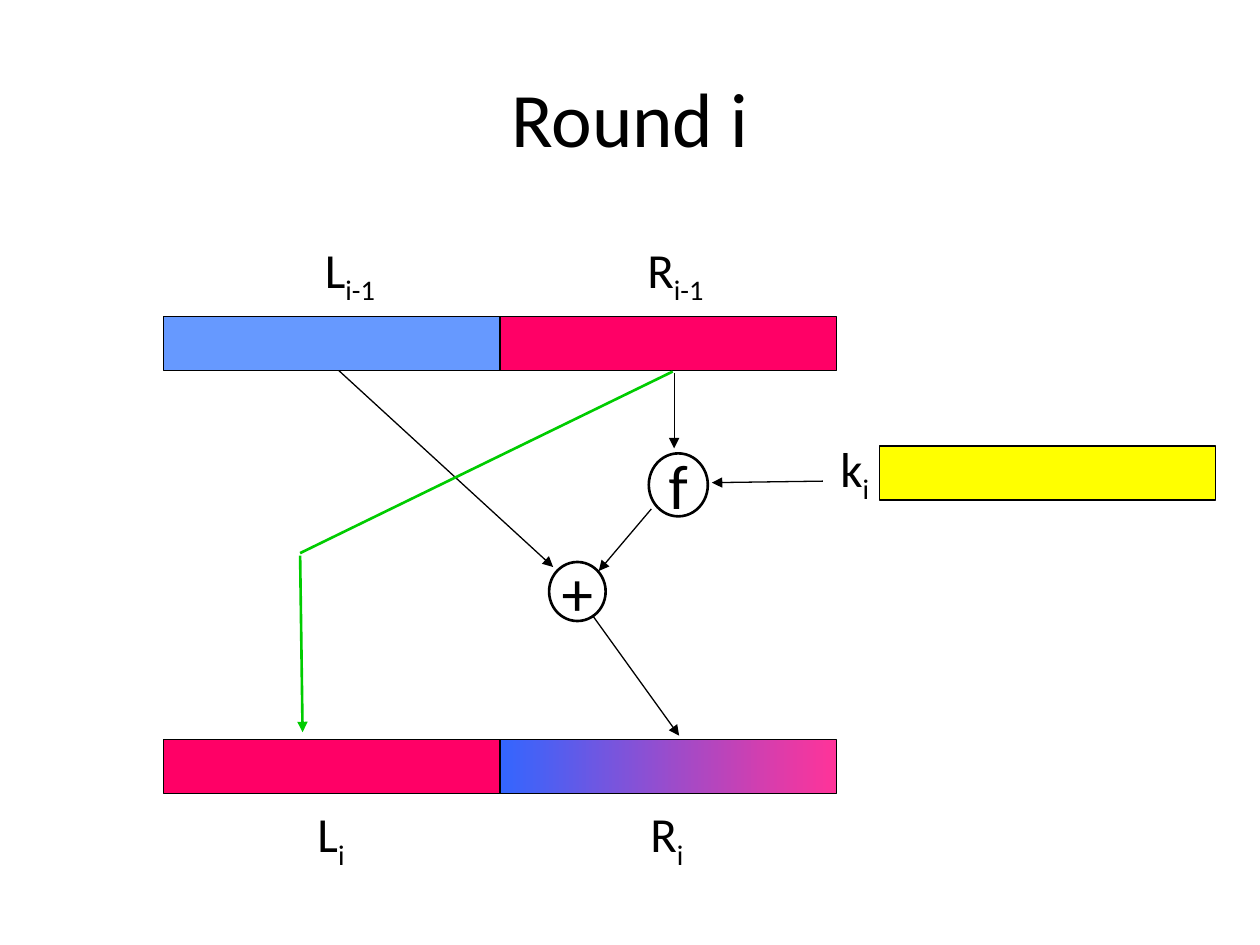
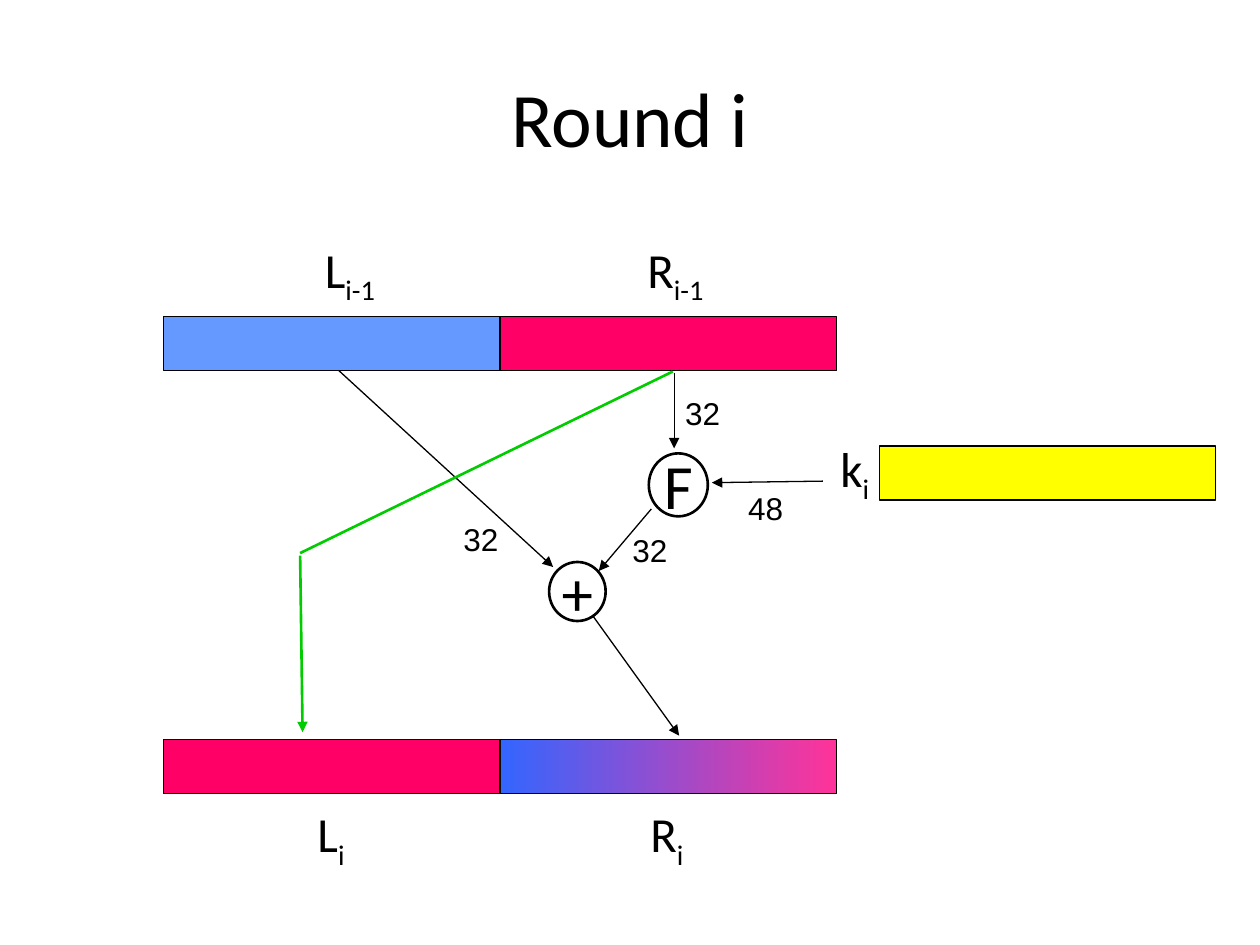
"""Build two slides that show one round of a Feistel cipher."""
from pptx import Presentation
from pptx.dml.color import RGBColor
from pptx.enum.shapes import MSO_CONNECTOR as CONN, MSO_SHAPE as SHAPE
from pptx.enum.text import MSO_ANCHOR as ANCHOR, PP_ALIGN as ALIGN
from pptx.oxml.ns import qn
from pptx.util import Cm, Pt
from lxml.etree import SubElement

BLACK, GREEN, BLUE, RED, YELLOW = "000000", "00CC00", "6699FF", "FF0066", "FFFF00"
MIX = ("3366FF", "FF3399")
BAR_W, BAR_H = 6.78, 1.09
LEFT, TOP, BOTTOM = 3.3, 6.38, 14.91
RIGHT = LEFT + BAR_W
BIT_COUNTS = [("32", 13.56, 7.82), ("48", 14.83, 9.73),
              ("32", 12.5, 10.59), ("32", 9.09, 10.36)]


def rgb(color):
    return RGBColor.from_string(color)


def style(r, size, font="Calibri"):
    r.font.name = font
    r.font.size = Pt(size)
    r.font.color.rgb = rgb(BLACK)


def add_title(s, text):
    sp = s.shapes.title
    sp.left, sp.top, sp.width, sp.height = Cm(1.27), Cm(0.76), Cm(22.86), Cm(3.18)
    tf = sp.text_frame
    tf.text = text
    tf.vertical_anchor = ANCHOR.MIDDLE
    p = tf.paragraphs[0]
    p.alignment = ALIGN.CENTER
    style(p.runs[0], 44)


def add_outlined(s, kind, x, y, w, h, line_width):
    sp = s.shapes.add_shape(kind, Cm(x), Cm(y), Cm(w), Cm(h))
    sp.shadow.inherit = False
    sp.line.color.rgb = rgb(BLACK)
    sp.line.width = Pt(line_width)
    return sp


def add_bar(s, x, y, *colors):
    fill = add_outlined(s, SHAPE.RECTANGLE, x, y, BAR_W, BAR_H, 0.75).fill
    if len(colors) == 1:
        fill.solid()
        fill.fore_color.rgb = rgb(colors[0])
        return
    fill.gradient()
    fill.gradient_angle = 0
    for stop, color in zip(fill.gradient_stops, colors):
        stop.color.rgb = rgb(color)


def add_text(s, text, x, y, w, h, size, font="Calibri", wrap=False):
    tf = s.shapes.add_textbox(Cm(x), Cm(y), Cm(w), Cm(h)).text_frame
    tf.text = text
    tf.word_wrap = wrap
    for r in tf.paragraphs[0].runs:
        style(r, size, font)
    return tf


def add_label(s, parts, x, y, w, h, tab=None, inset=0.25):
    """Write parts in turn as plain text and subscript."""
    tf = add_text(s, "", x, y, w, h, 28, wrap=tab is not None)
    tf.margin_left = Cm(inset)
    p = tf.paragraphs[0]
    if tab:
        tabs = SubElement(p._p.get_or_add_pPr(), qn("a:tabLst"))
        SubElement(tabs, qn("a:tab"), pos=str(Cm(tab)), algn="l")
    for i, part in enumerate(parts):
        r = p.add_run()
        r.text = part
        style(r, 28)
        if i % 2:
            r._r.get_or_add_rPr().set("baseline", "-25000")


def add_node(s, symbol, x, y, w, h):
    add_outlined(s, SHAPE.OVAL, x, y, w, h, 1.5).fill.background()
    text_h = 1.78
    tf = add_text(s, symbol, x, y + (h - text_h) / 2, w, text_h, 36)
    tf.paragraphs[0].alignment = ALIGN.CENTER


def add_line(s, x1, y1, x2, y2, color=BLACK, width=0.75, arrow=True):
    c = s.shapes.add_connector(CONN.STRAIGHT, Cm(x1), Cm(y1), Cm(x2), Cm(y2))
    c.line.color.rgb = rgb(color)
    c.line.width = Pt(width)
    if arrow:
        SubElement(c.line._get_or_add_ln(), qn("a:tailEnd"), type="triangle")
    SubElement(c._element.spPr, qn("a:effectLst"))


def add_round(prs, function_name):
    s = prs.slides.add_slide(prs.slide_layouts[5])
    add_title(s, "Round i")
    add_node(s, function_name, 13.08, 9.14, 1.19, 1.27)
    add_node(s, "+", 11.07, 11.33, 1.14, 1.19)
    for ends in [(16.59, 9.7, 14.35, 9.73), (6.83, 7.47, 11.15, 11.43),
                 (11.94, 12.4, 13.69, 14.83), (13.59, 7.52, 13.59, 9.04),
                 (13.13, 10.26, 12.07, 11.51)]:
        add_line(s, *ends)
    add_bar(s, LEFT, TOP, BLUE)
    add_bar(s, RIGHT, TOP, RED)
    add_bar(s, LEFT, BOTTOM, RED)
    add_bar(s, RIGHT, BOTTOM, *MIX)
    add_line(s, 13.56, 7.49, 6.05, 11.15, GREEN, 1.5, arrow=False)
    add_line(s, 6.05, 11.2, 6.1, 14.76, GREEN, 1.5)
    add_label(s, ["L", "i-1", "\tR", "i-1"], 6.3, 4.7, 8.4, 1.6, tab=6.5)
    add_label(s, ["k", "i"], 16.69, 8.71, 1.09, 1.6)
    add_bar(s, 17.73, 8.99, YELLOW)
    add_label(s, ["L", "i", "\tR", "i"], 4.88, 16.08, 10.36, 2.95, tab=6.71, inset=1.52)
    return s


def main():
    prs = Presentation()
    prs.slide_width, prs.slide_height = Cm(25.4), Cm(19.05)
    add_round(prs, "f")
    s = add_round(prs, "F")
    for count, x, y in BIT_COUNTS:
        add_text(s, count, x, y, 1.22, 1.02, 18, "Arial")
    prs.save("out.pptx")


if __name__ == "__main__":
    main()
